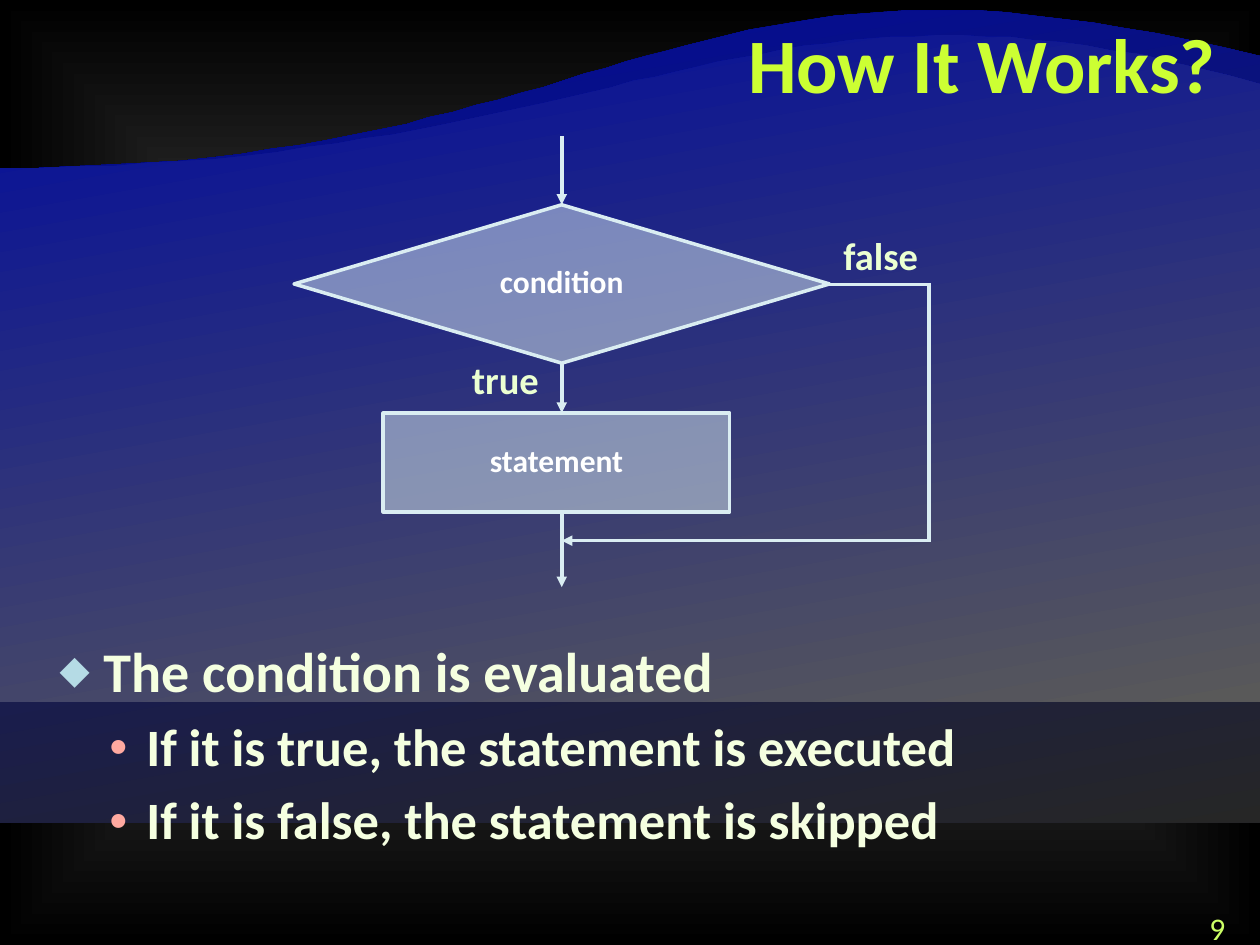
from pptx import Presentation
from pptx.dml.color import RGBColor
from pptx.enum.shapes import MSO_CONNECTOR as Connector, MSO_SHAPE as Shape
from pptx.enum.text import MSO_ANCHOR as Anchor, MSO_AUTO_SIZE as AutoSize, PP_ALIGN as Align
from pptx.oxml.ns import qn
from pptx.util import Pt
from lxml.etree import SubElement

FONT = "Calibri"
COLORS = {
    "blue": "000A9E", "dark": "262626", "grey": "595959", "black": "000000",
    "title": "CCFF33", "body": "F5FFE0", "label": "EBFFD2", "number": "CCFF66",
    "white": "FFFFFF", "line": "DAEDF2", "diamond": "B5DBE5", "dot": "FFA9A0",
}
WIDTH, HEIGHT = 720, 540
AXIS = 321      # main flow of the chart
BYPASS = 531    # branch taken when the condition is false
MERGE = 309     # height at which both branches meet


def color(name):
    return RGBColor.from_string(COLORS[name])


def paint_gradient(fill, start, end):
    fill.gradient()
    for stop, name, position in zip(fill.gradient_stops, (start, end), (0, 1)):
        stop.color.rgb = color(name)
        stop.position = position


def paint_background(page):
    paint_gradient(page.background.fill, "grey", "black")
    gradient = page.element.find(".//" + qn("a:gradFill"))
    gradient.remove(gradient.find(qn("a:lin")))
    center = SubElement(gradient, qn("a:path"), path="rect")
    SubElement(center, qn("a:fillToRect"), l="50000", t="50000", r="50000", b="50000")


def add_wave(page, curve, bottom, end, steps=48):
    """Area between a cubic curve along the top and a flat bottom."""
    points = []
    for step in range(steps + 1):
        t = step / steps
        weights = ((1 - t) ** 3, 3 * t * (1 - t) ** 2, 3 * t ** 2 * (1 - t), t ** 3)
        points.append(tuple(sum(w * point[axis] for w, point in zip(weights, curve))
                            for axis in (0, 1)))
    builder = page.shapes.build_freeform(*points[0], scale=Pt(1))
    builder.add_line_segments(points[1:] + [(WIDTH, bottom), (0, bottom)], close=True)
    wave = builder.convert_to_shape()
    wave.shadow.inherit = False
    wave.line.fill.background()
    paint_gradient(wave.fill, "blue", end)
    wave.fill.gradient_angle = 280


def style(para, size, name, bold=True, align=Align.LEFT, spacing=None):
    para.alignment = align
    if spacing:
        para.line_spacing = spacing
    font = para.font
    font.name, font.size, font.bold = FONT, Pt(size), bold
    font.color.rgb = color(name)


def add_text(page, text, left, top, width, height, grow=False, **look):
    box = page.shapes.add_textbox(Pt(left), Pt(top), Pt(width), Pt(height))
    frame = box.text_frame
    frame.word_wrap = True
    if grow:
        frame.auto_size = AutoSize.SHAPE_TO_FIT_TEXT
    frame.text = text
    style(frame.paragraphs[0], **look)
    return frame


def add_label(page, text, left, top, width):
    add_text(page, text, left, top, width, 29.5, grow=True,
             size=22, name="label", align=Align.CENTER, spacing=0.85)


def add_bullet(para, char, name, percent, margin, indent):
    props = para._p.get_or_add_pPr()
    props.set("marL", str(Pt(margin)))
    props.set("indent", str(Pt(-indent)))
    SubElement(SubElement(props, qn("a:buClr")), qn("a:srgbClr"), val=COLORS[name])
    SubElement(props, qn("a:buSzPct"), val=str(percent * 1000))
    SubElement(props, qn("a:buFont"), typeface=FONT)
    SubElement(props, qn("a:buChar"), char=char)


def add_points(page, heading, details):
    frame = add_text(page, heading, 27, 360, 663, 160, size=32, name="body")
    first = frame.paragraphs[0]
    first.clear()
    first._p.remove(first._p.pPr)
    add_bullet(first, "◆", "diamond", 70, 25, 25)
    first.text = heading
    style(first, 32, "body")
    for detail in details:
        para = frame.add_paragraph()
        para.text = detail
        para.level = 1
        para.space_before = Pt(6)
        add_bullet(para, "•", "dot", 75, 49.5, 21.5)
        style(para, 30, "body")


def add_step(page, kind, text, left, top, width, height):
    step = page.shapes.add_shape(kind, Pt(left), Pt(top), Pt(width), Pt(height))
    step.shadow.inherit = False
    step.fill.solid()
    step.fill.fore_color.rgb = color("line")
    tint = step.element.spPr.find(qn("a:solidFill"))[0]
    SubElement(tint, qn("a:alpha"), val="50000")
    step.line.color.rgb = color("line")
    step.line.width = Pt(2)
    frame = step.text_frame
    frame.word_wrap = True
    frame.vertical_anchor = Anchor.MIDDLE
    frame.text = text
    style(frame.paragraphs[0], 18, "white", align=Align.CENTER, spacing=0.85)


def add_line(page, start, end, arrow=True):
    line = page.shapes.add_connector(Connector.STRAIGHT, *map(Pt, start + end))
    line.line.color.rgb = color("line")
    line.line.width = Pt(2)
    if arrow:
        SubElement(line.line._get_or_add_ln(), qn("a:tailEnd"), type="triangle")
    SubElement(line.element.spPr, qn("a:effectLst"))


def main():
    deck = Presentation()
    deck.slide_width, deck.slide_height = Pt(WIDTH), Pt(HEIGHT)
    page = deck.slides.add_slide(deck.slide_layouts[6])

    # Backdrop
    paint_background(page)
    add_wave(page, [(0, 96), (360, 96), (384.5, -53.5), (WIDTH, 32.5)], 470.5, "dark")
    add_wave(page, [(0, 96), (360, 96), (430.5, -35.5), (WIDTH, 48)], 401, "grey")

    # Title and explanation
    add_text(page, "How It Works?", 144, 6, 558, 72,
             size=44, name="title", align=Align.RIGHT)
    add_points(page, "The condition is evaluated", [
        "If it is true, the statement is executed",
        "If it is false, the statement is skipped",
    ])

    # Flowchart steps
    add_label(page, "true", 252, 204, 73.5)
    add_step(page, Shape.FLOWCHART_DECISION, "condition", 168, 117, 306, 90.5)
    add_step(page, Shape.RECTANGLE, "statement", 219, 236, 198, 56.5)
    add_label(page, "false", 469.5, 133, 67.5)

    # Main flow
    for top, bottom in ((78, 117), (207.5, 236), (292.5, 335.5)):
        add_line(page, (AXIS, top), (AXIS, bottom))

    # Branch around the statement
    add_line(page, (469.5, 162.5), (BYPASS + 1, 162.5), arrow=False)
    add_line(page, (BYPASS, 162), (BYPASS, MERGE + 0.5), arrow=False)
    add_line(page, (BYPASS + 1, MERGE), (AXIS, MERGE))

    # Page number
    add_text(page, "9", 684, 516, 36, 18, size=18, name="number", bold=False)
    deck.save("out.pptx")


if __name__ == "__main__":
    main()
